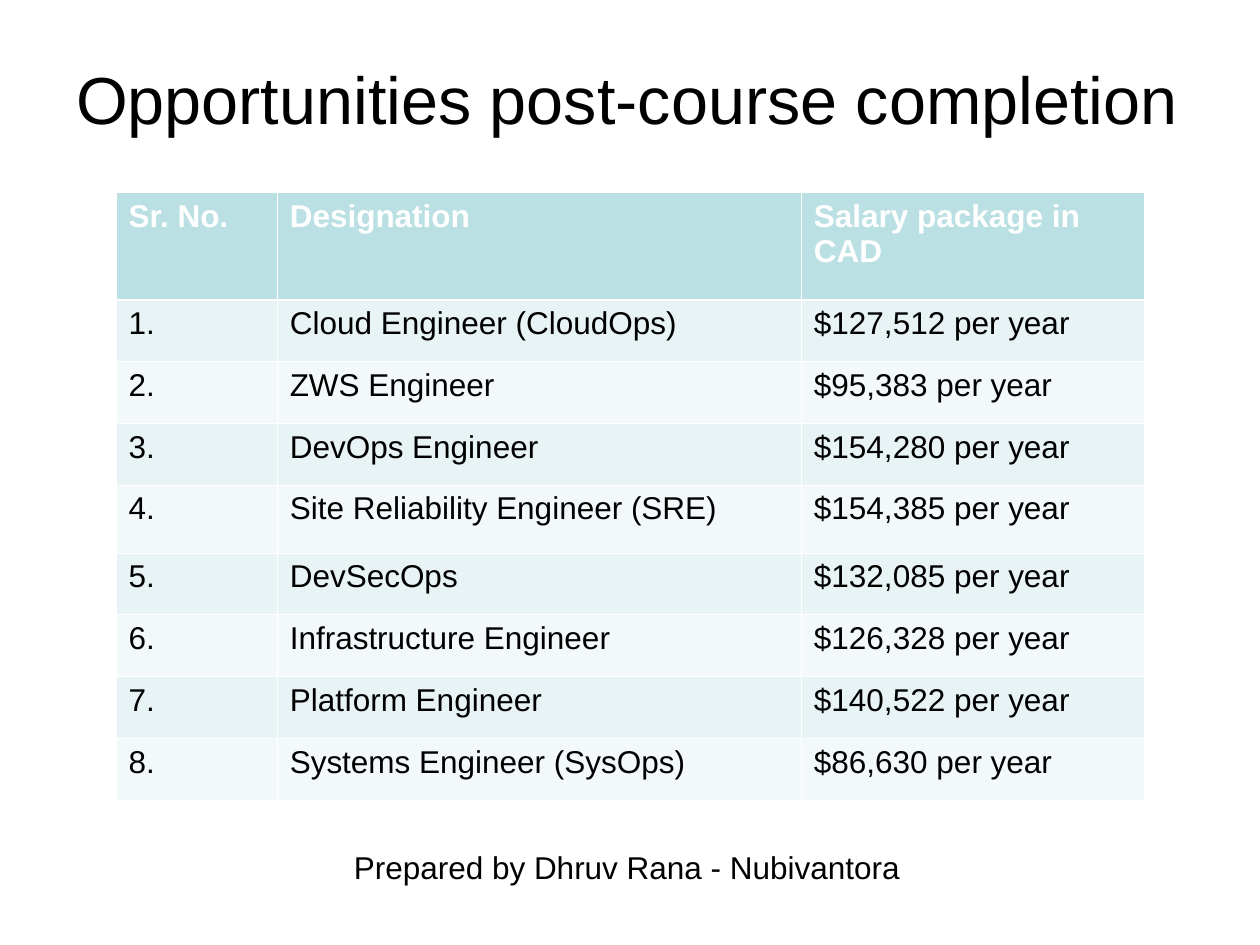
from lxml.etree import SubElement
from pptx import Presentation
from pptx.dml.color import RGBColor
from pptx.enum.text import MSO_ANCHOR, MSO_AUTO_SIZE, PP_ALIGN
from pptx.oxml.ns import qn
from pptx.util import Inches, Pt

FONT = "Arial"
COLORS = {
    "text": "000000",
    "header_text": "FFFFFF",
    "header": "BBE0E3",
    "odd_row": "E7F3F4",
    "even_row": "F3F9FA",
    "border": "FFFFFF",
}
HEADINGS = ("Sr. No.", "Designation", "Salary package in CAD")
SALARIES = (
    ("Cloud Engineer (CloudOps)", "$127,512 per year"),
    ("ZWS Engineer", "$95,383 per year"),
    ("DevOps Engineer", "$154,280 per year"),
    ("Site Reliability Engineer (SRE)", "$154,385 per year"),
    ("DevSecOps", "$132,085 per year"),
    ("Infrastructure Engineer", "$126,328 per year"),
    ("Platform Engineer", "$140,522 per year"),
    ("Systems Engineer (SysOps)", "$86,630 per year"),
)
COLUMN_WIDTHS = (1.28, 4.16, 2.72)
ROW_HEIGHTS = (0.85, *[0.49] * 3, 0.54, *[0.49] * 4)
THIN, THICK = 0.45, 1.47


def add_text(frame, text, size, color="text", bold=False):
    run = frame.paragraphs[0].add_run()
    run.text = text
    run.font.name = FONT
    run.font.size = Pt(size)
    run.font.bold = bold
    run.font.color.rgb = RGBColor.from_string(COLORS[color])


def add_title(slide, text):
    title = slide.shapes.title
    title.left, title.top = Inches(0.47), Inches(0.15)
    title.width, title.height = Inches(9.02), Inches(1.26)
    frame = title.text_frame
    frame.margin_left = frame.margin_right = 0
    frame.margin_top = frame.margin_bottom = 0
    frame.word_wrap = True
    frame.auto_size = MSO_AUTO_SIZE.NONE
    frame.vertical_anchor = MSO_ANCHOR.MIDDLE
    frame.paragraphs[0].alignment = PP_ALIGN.CENTER
    add_text(frame, text, 38)


def add_credit(slide, text):
    credit = slide.shapes.add_textbox(Inches(2.71), Inches(6.68), Inches(5.37), Inches(0.4))
    credit.text_frame.word_wrap = True
    credit.text_frame.auto_size = MSO_AUTO_SIZE.SHAPE_TO_FIT_TEXT
    add_text(credit.text_frame, text, 18)


def set_borders(cell, top, bottom):
    properties = cell._tc.get_or_add_tcPr()
    for side, width in (("L", THIN), ("R", THIN), ("T", top), ("B", bottom)):
        line = SubElement(properties, qn(f"a:ln{side}"), w=str(Pt(width)))
        fill = SubElement(line, qn("a:solidFill"))
        SubElement(fill, qn("a:srgbClr"), val=COLORS["border"])


def fill_row(table, row, texts):
    is_header = row == 0
    band = "header" if is_header else "odd_row" if row % 2 else "even_row"
    for column, text in enumerate(texts):
        cell = table.cell(row, column)
        set_borders(cell, THICK if row == 1 else THIN, THICK if is_header else THIN)
        cell.fill.solid()
        cell.fill.fore_color.rgb = RGBColor.from_string(COLORS[band])
        add_text(cell.text_frame, text, 18, "header_text" if is_header else "text", is_header)


def add_salary_table(slide):
    table = slide.shapes.add_table(
        len(ROW_HEIGHTS), len(COLUMN_WIDTHS), Inches(0.92), Inches(1.53),
        Inches(sum(COLUMN_WIDTHS)), Inches(sum(ROW_HEIGHTS)),
    ).table
    for column, width in zip(table.columns, COLUMN_WIDTHS):
        column.width = Inches(width)
    for row, height in zip(table.rows, ROW_HEIGHTS):
        row.height = Inches(height)
    fill_row(table, 0, HEADINGS)
    for number, salary in enumerate(SALARIES, 1):
        fill_row(table, number, (f"{number}.", *salary))


def main():
    presentation = Presentation()
    presentation.slide_width, presentation.slide_height = Inches(10), Inches(7.5)
    slide = presentation.slides.add_slide(presentation.slide_layouts[5])
    add_title(slide, "Opportunities post-course completion")
    add_credit(slide, "Prepared by Dhruv Rana - Nubivantora")
    add_salary_table(slide)
    presentation.save("out.pptx")


if __name__ == "__main__":
    main()
